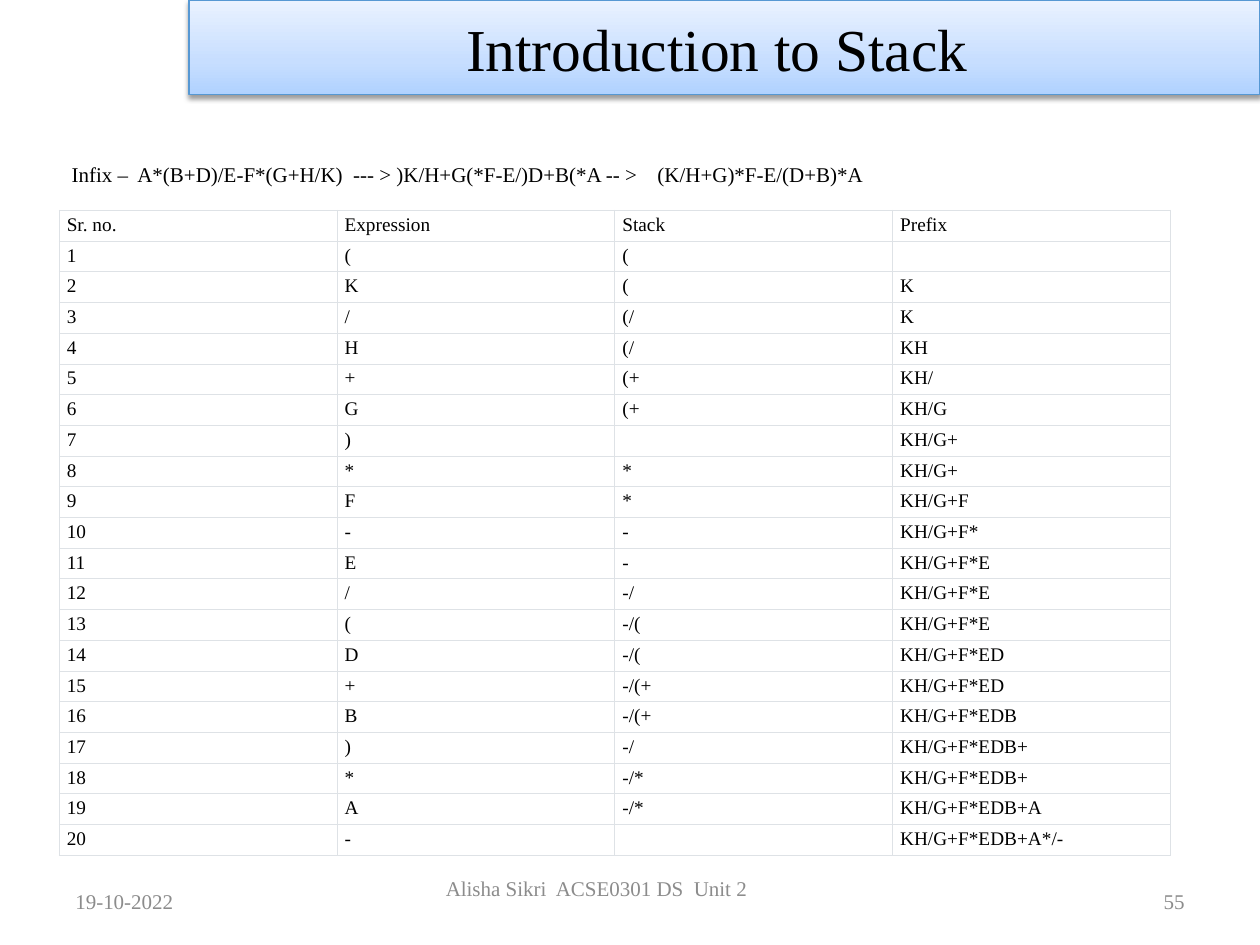
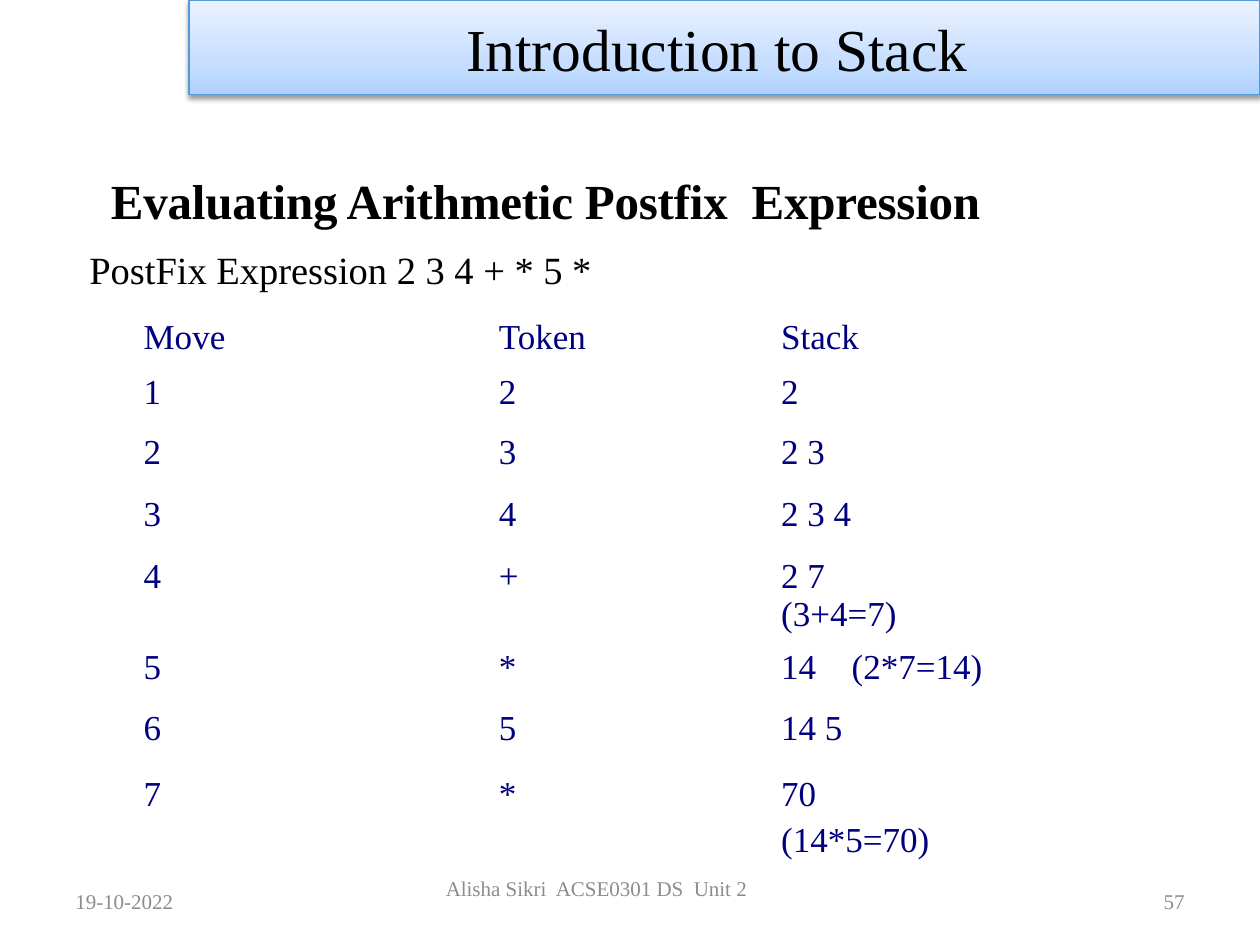
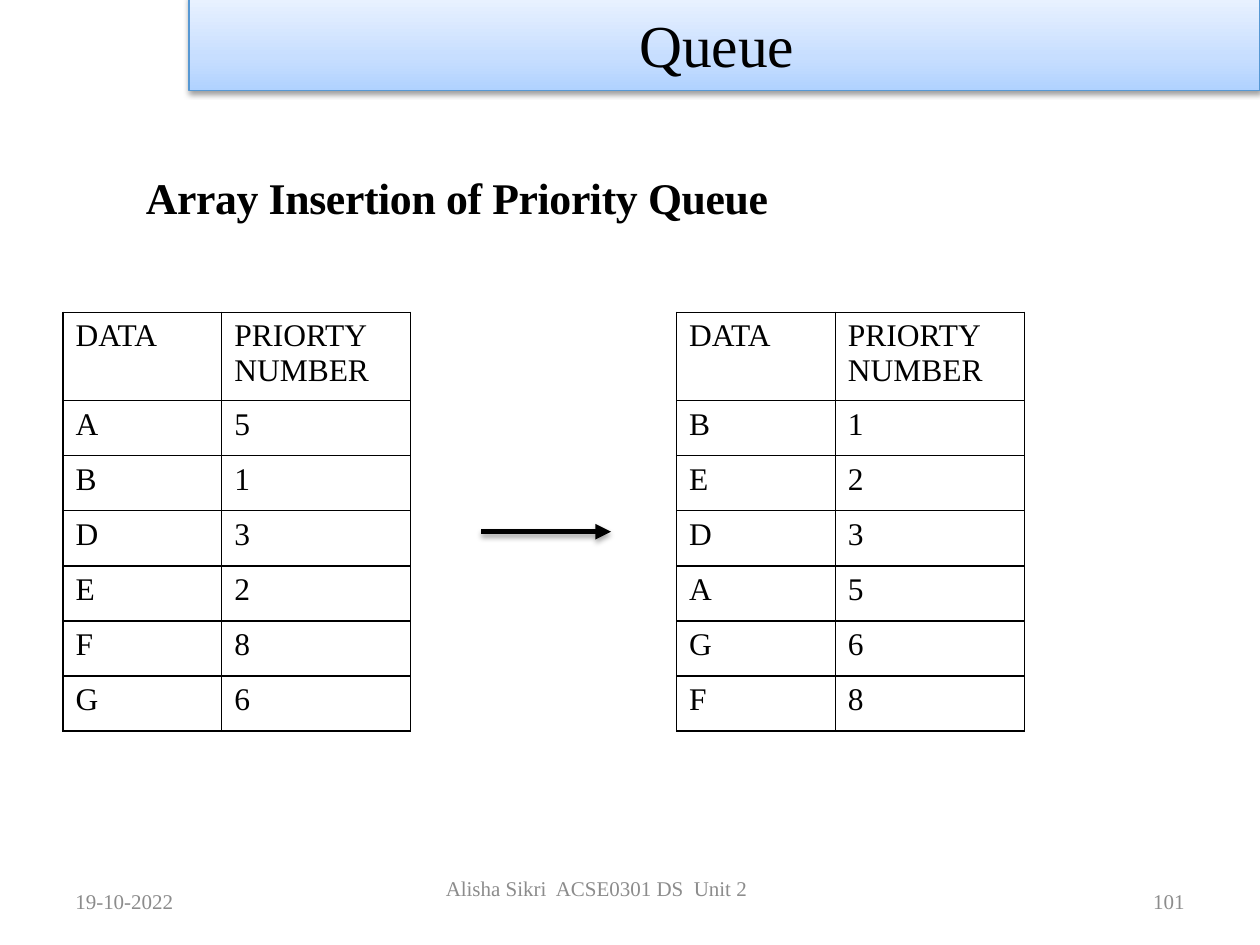
from dataclasses import dataclass

from pptx import Presentation
from pptx import util as u
from pptx.dml.color import RGBColor
from pptx.enum import shapes, text
from pptx.oxml import parse_xml
from pptx.oxml.ns import nsdecls

IN = u.Inches


@dataclass(frozen=True)
class Theme:
    """Colours, font and type sizes shared by the slides."""

    font: str = "Times New Roman"
    ink: str = "000000"
    navy: str = "00007F"
    muted: str = "8C8C8C"
    paper: str = "FFFFFF"
    hairline: str = "DEE2E6"
    band_edge: str = "5698D3"
    band_stops: tuple = ((0, "B0D2FF"), (35, "C7DEFF"), (100, "EAF2FF"))
    title: int = 34
    heading: int = 28
    subheading: int = 25
    expression: int = 22
    moves: int = 20
    queue: int = 18
    small: int = 12
    trace: int = 11


T = Theme()
PLAIN_TABLE = "{2D5ABB26-0587-4C30-8999-92F81FD0307C}"
ALIGN = text.PP_ALIGN
ANCHOR = text.MSO_ANCHOR

TRACE_HEADER = ("Sr. no.", "Expression", "Stack", "Prefix")
TRACE_STEPS = (
    ("(", "(", ""), ("K", "(", "K"), ("/", "(/", "K"), ("H", "(/", "KH"),
    ("+", "(+", "KH/"), ("G", "(+", "KH/G"), (")", "", "KH/G+"),
    ("*", "*", "KH/G+"), ("F", "*", "KH/G+F"), ("-", "-", "KH/G+F*"),
    ("E", "-", "KH/G+F*E"), ("/", "-/", "KH/G+F*E"), ("(", "-/(", "KH/G+F*E"),
    ("D", "-/(", "KH/G+F*ED"), ("+", "-/(+", "KH/G+F*ED"),
    ("B", "-/(+", "KH/G+F*EDB"), (")", "-/", "KH/G+F*EDB+"),
    ("*", "-/*", "KH/G+F*EDB+"), ("A", "-/*", "KH/G+F*EDB+A"),
    ("-", "", "KH/G+F*EDB+A*/-"),
)
MOVES_HEADER = ("Move", "Token", "Stack")
MOVES = (
    ("2", "2"), ("3", "2 3"), ("4", "2 3 4"), ("+", "2 7\t(3+4=7)"),
    ("*", "14\t(2*7=14)"), ("5", "14 5"), ("*", "70\t(14*5=70)"),
)
MOVE_TABS = {4: 1.48, 5: 0.56, 7: 1.33}
QUEUE_HEADER = ("DATA", "PRIORTY NUMBER")
ARRIVALS = (("A", "5"), ("B", "1"), ("D", "3"), ("E", "2"), ("F", "8"), ("G", "6"))


def write(host, words, size=T.small, color=T.ink, bold=False, align=ALIGN.LEFT,
          anchor=ANCHOR.TOP, inset=(0.1, 0.05, 0.1, 0.05), spacing=0, leading=None, tab=None):
    """Put formatted words into a text frame or a table cell."""
    for side, margin in zip(("left", "top", "right", "bottom"), inset):
        setattr(host, f"margin_{side}", IN(margin))
    host.vertical_anchor = anchor
    frame = getattr(host, "text_frame", host)
    paragraph = frame.paragraphs[0]
    paragraph.alignment = align
    if leading:
        paragraph.line_spacing = u.Pt(leading)
    if tab:
        paragraph._p.get_or_add_pPr().append(parse_xml(
            f'<a:tabLst {nsdecls("a")}><a:tab pos="{IN(tab)}" algn="l"/></a:tabLst>'))
    if not words:
        paragraph._p.append(parse_xml(
            f'<a:endParaRPr {nsdecls("a")} sz="{size * 100}"/>'))
        return
    run = paragraph.add_run()
    run.text = words
    run.font.name, run.font.size, run.font.bold = T.font, u.Pt(size), bold
    run.font.color.rgb = RGBColor.from_string(color)
    if spacing:
        run.font._element.set("spc", str(round(spacing * 100)))


def label(slide, box, words, **style):
    """Add a wrapping text box."""
    frame = slide.shapes.add_textbox(*map(IN, box)).text_frame
    frame.word_wrap = True
    write(frame, words, **style)


def cast_shadow(shape, opacity, distance):
    """Give a shape a soft shadow falling straight down."""
    shape._element.spPr.append(parse_xml(
        f'<a:effectLst {nsdecls("a")}><a:outerShdw blurRad="{u.Pt(3.1)}" '
        f'dist="{u.Pt(distance)}" dir="5400000" rotWithShape="0"><a:srgbClr val="{T.ink}">'
        f'<a:alpha val="{opacity * 1000}"/></a:srgbClr></a:outerShdw></a:effectLst>'))


def title_band(slide, box, words):
    """Format the title placeholder as the gradient band."""
    band = slide.shapes.title
    band.left, band.top, band.width, band.height = map(IN, box)
    stops = "".join(f'<a:gs pos="{place * 1000}"><a:srgbClr val="{color}"/></a:gs>'
                    for place, color in T.band_stops)
    band._element.spPr.append(parse_xml(
        f'<a:gradFill {nsdecls("a")} rotWithShape="1"><a:gsLst>{stops}</a:gsLst>'
        '<a:lin ang="16200000" scaled="0"/></a:gradFill>'))
    band.line.color.rgb = RGBColor.from_string(T.band_edge)
    band.line.width = u.Pt(0.75)
    cast_shadow(band, 38, 1.6)
    band.text_frame.auto_size = text.MSO_AUTO_SIZE.NONE
    write(band.text_frame, words, size=T.title, align=ALIGN.CENTER,
          anchor=ANCHOR.MIDDLE, inset=(0.1, 0.05, 0.22, 0.05))


def footer(slide, box, number):
    """Place date, course and page number along the footer box."""
    left, top, width, height = box
    side = 2.33
    label(slide, (left, top, side, height), "19-10-2022",
          color=T.muted, anchor=ANCHOR.MIDDLE)
    label(slide, (left + 2.92, top, 3.17, height), "Alisha Sikri  ACSE0301 DS  Unit 2",
          color=T.muted, align=ALIGN.CENTER, inset=(0, 0, 0.54, 0))
    label(slide, (left + width - side, top, side, height), number,
          color=T.muted, align=ALIGN.RIGHT, anchor=ANCHOR.MIDDLE)


def rule_cell(cell, color, points):
    """Draw the four borders of a cell."""
    for place, side in enumerate("LRTB"):
        cell._tc.get_or_add_tcPr().insert(place, parse_xml(
            f'<a:ln{side} {nsdecls("a")} w="{u.Pt(points)}"><a:solidFill>'
            f'<a:srgbClr val="{color}"/></a:solidFill></a:ln{side}>'))


def grid(slide, origin, widths, heights, rows, cell_style, border=None, fill=None):
    """Add a table whose cells are formatted by cell_style(row, column)."""
    table = slide.shapes.add_table(len(rows), len(widths), *map(
        IN, (*origin, sum(widths), sum(heights)))).table
    table._tbl.tblPr[0].text = PLAIN_TABLE
    table.first_row = table.horz_banding = False
    for column, width in zip(table.columns, widths):
        column.width = IN(width)
    for r, (height, row) in enumerate(zip(heights, rows)):
        table.rows[r].height = IN(height)
        for c, words in enumerate(row):
            cell = table.cell(r, c)
            write(cell, words, **cell_style(r, c))
            if fill:
                cell.fill.solid()
                cell.fill.fore_color.rgb = RGBColor.from_string(fill)
            else:
                cell.fill.background()
            if border:
                rule_cell(cell, *border)


def conversion_trace(slide, box):
    """Show the infix expression and its conversion step by step."""
    left, top, width, height = box
    label(slide, (left, top, 8.7, 0.3),
          "Infix –  A*(B+D)/E-F*(G+H/K)  --- > )K/H+G(*F-E/)D+B(*A -- >\t(K/H+G)*F-E/(D+B)*A",
          tab=4.65)
    rows = [TRACE_HEADER] + [(str(n), *step) for n, step in enumerate(TRACE_STEPS, 1)]
    offset = 0.44
    grid(slide, (left, top + offset), [width / 4] * 4,
         [(height - offset) / len(rows)] * len(rows), rows,
         lambda r, c: dict(size=T.trace, inset=(0.06, 0.03, 0.06, 0.03)),
         border=(T.hairline, 0.6), fill=T.paper)


def move_style(row, column):
    """Format one cell of the evaluation moves."""
    leading = {0: 24, len(MOVES): 25.8}.get(row)
    return dict(size=T.moves, color=T.navy, leading=leading,
                inset=((0.03, 1.14, 0.87)[column], 0.06 if row else 0, 0, 0),
                tab=MOVE_TABS.get(row) if column == 2 else None)


def postfix_evaluation(slide, box):
    """Show the heading, the expression and the stack after every move."""
    left, top, width, _ = box
    label(slide, (left, top, width, 0.68), "Evaluating Arithmetic Postfix  Expression",
          size=T.heading, bold=True, align=ALIGN.CENTER, spacing=-0.1,
          leading=44.2, inset=(0, 0.06, 0, 0))
    label(slide, (left + 0.45, top + 0.77, 4.3, 0.38), "PostFix Expression 2 3 4 + * 5 *",
          size=T.expression, inset=(0.01, 0.03, 0, 0))
    rows = [MOVES_HEADER] + [(str(n), *move) for n, move in enumerate(MOVES, 1)]
    grid(slide, (left + 0.86, top + 1.35), (1.71, 2.51, 2.51),
         (0.4, 0.48, 0.49, 0.49, 0.48, 0.48, 0.48, 0.4), rows, move_style)


def priority_insertion(slide, box):
    """Show the queue as it arrives and as it is ordered by priority."""
    left, top, width, height = box
    label(slide, (left + 0.56, top, 7.87, 0.52), "Array Insertion of Priority Queue",
          size=T.subheading, bold=True, spacing=-0.2)
    widths = (1.26, 1.5)
    head, offset = 0.7, 1.17
    line = (height - offset - head) / len(ARRIVALS)
    ordered = sorted(ARRIVALS, key=lambda entry: int(entry[1]))
    for x, entries in ((left, ARRIVALS), (left + width - sum(widths), ordered)):
        grid(slide, (x, top + offset), widths, [head] + [line] * len(entries),
             [QUEUE_HEADER, *entries], lambda r, c: dict(size=T.queue), border=(T.ink, 1))
    y = top + 2.91
    arrow = slide.shapes.add_connector(
        shapes.MSO_CONNECTOR.STRAIGHT, *map(IN, (left + 3.32, y, left + 4.35, y)))
    arrow.line.color.rgb = RGBColor.from_string(T.ink)
    arrow.line.width = u.Pt(3)
    arrow.line._get_or_add_ln().append(
        parse_xml(f'<a:tailEnd {nsdecls("a")} type="triangle"/>'))
    cast_shadow(arrow, 35, 1.8)


def main():
    """Build the three slides and save them."""
    deck = Presentation()
    deck.slide_width, deck.slide_height = IN(10), IN(7.5)
    pages = (
        ("Introduction to Stack", 0, "55", conversion_trace, (0.47, 1.23, 8.82, 5.38)),
        ("Introduction to Stack", 0, "57", postfix_evaluation, (0.25, 1.15, 8.16, 5.7)),
        ("Queue", -0.03, "101", priority_insertion, (0.5, 1.31, 7.63, 4.49)),
    )
    for title, band_top, number, content, box in pages:
        slide = deck.slides.add_slide(deck.slide_layouts[5])
        title_band(slide, (1.5, band_top, 8.5, 0.75), title)
        content(slide, box)
        footer(slide, (0.5, 6.95, 9, 0.4), number)
    deck.save("out.pptx")


if __name__ == "__main__":
    main()
